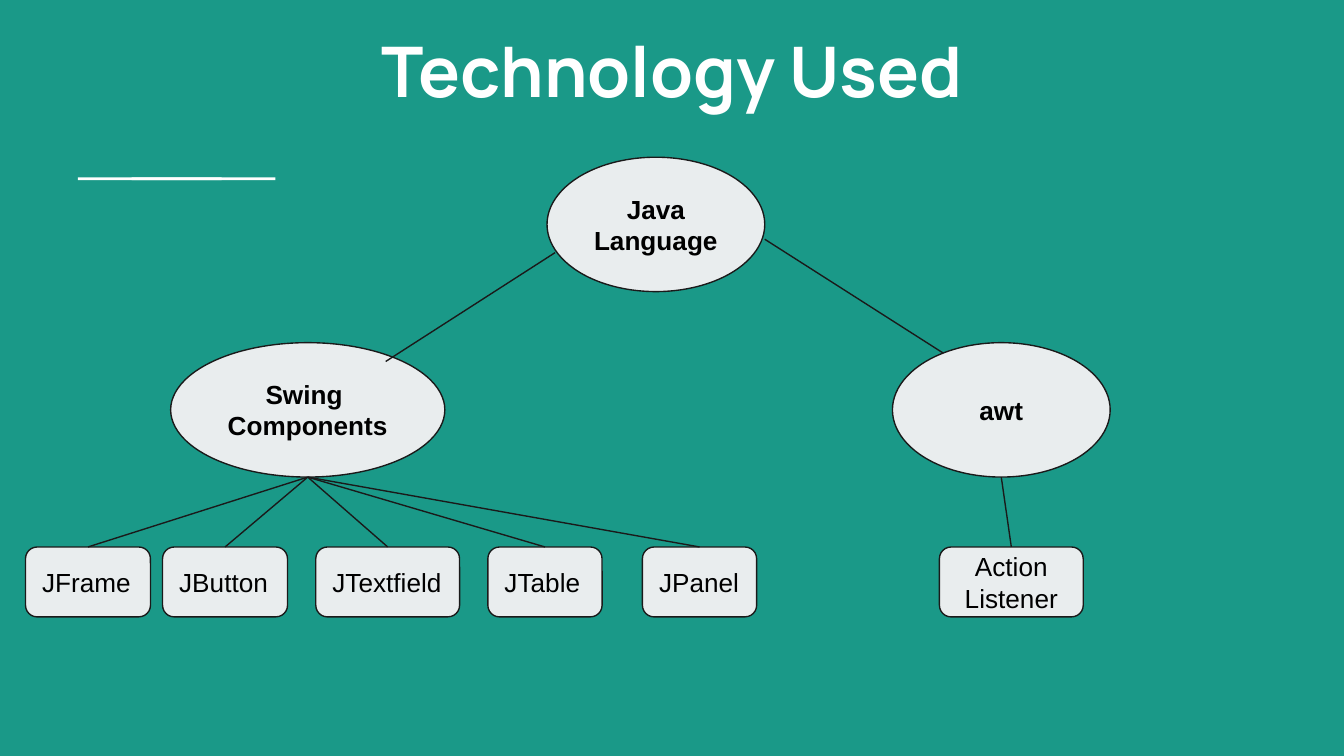
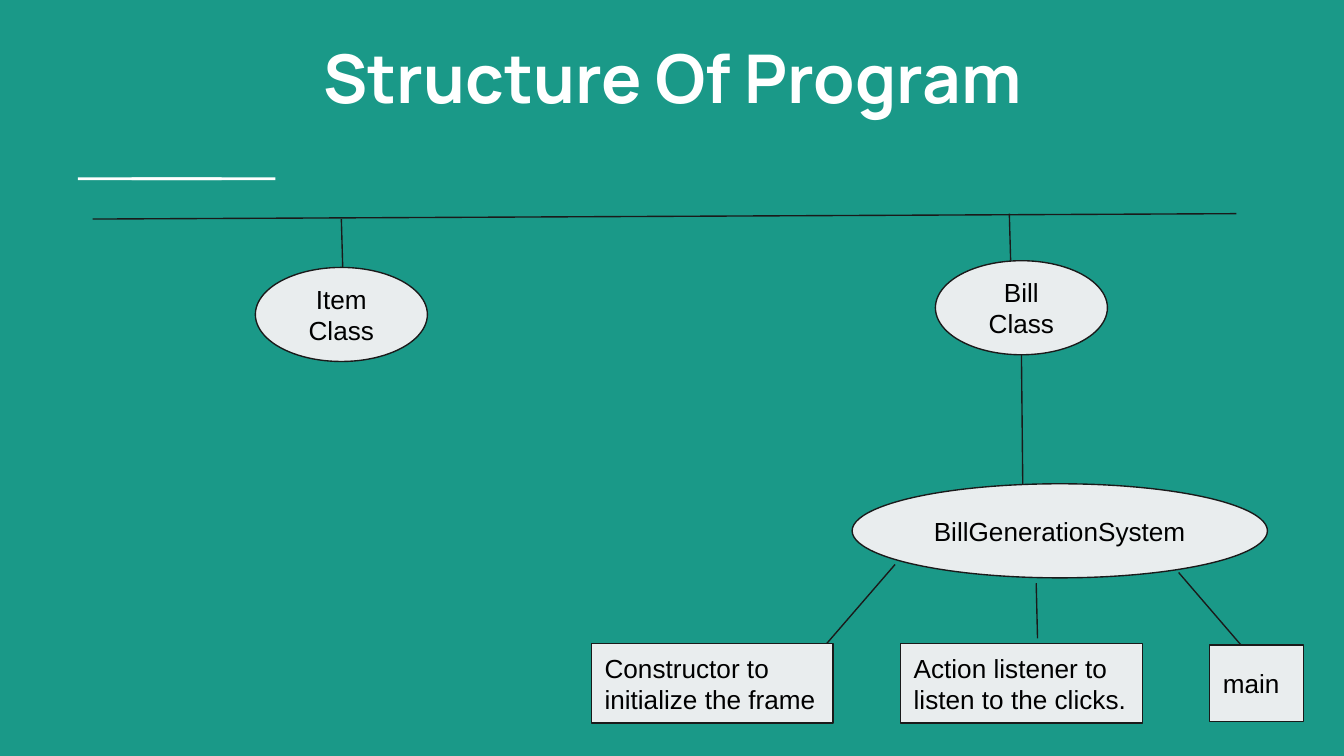
import pptx
import pptx.util
import pptx.dml.color
import pptx.enum.shapes
import pptx.enum.text
import pptx.oxml.ns
import lxml.etree

Inches = pptx.util.Inches
Pt = pptx.util.Pt
RGBColor = pptx.dml.color.RGBColor
Kind = pptx.enum.shapes.MSO_SHAPE
Align = pptx.enum.text.PP_ALIGN
Anchor = pptx.enum.text.MSO_ANCHOR

TEAL = RGBColor(0x1A, 0x99, 0x88)
PALE = RGBColor(0xE9, 0xED, 0xEE)
INK = RGBColor(0x1A, 0x1A, 0x1A)
BLACK = RGBColor(0, 0, 0)
WHITE = RGBColor(255, 255, 255)


def write(shape, text, font="Arial", size=14, color=BLACK, bold=False,
          align=Align.CENTER, anchor=Anchor.MIDDLE):
    """Fill a shape with text, one paragraph for each line."""
    frame = shape.text_frame
    frame.word_wrap = True
    frame.vertical_anchor = anchor
    frame.margin_left = frame.margin_right = Inches(0.1)
    frame.margin_top = frame.margin_bottom = Inches(0.1)
    for i, line in enumerate(text.split("\n")):
        para = frame.add_paragraph() if i else frame.paragraphs[0]
        para.alignment = align
        run = para.add_run()
        run.text = line
        run.font.name = font
        run.font.size = Pt(size)
        run.font.bold = bold
        run.font.color.rgb = color


class Deck:
    """Holds the shared style and the slide being drawn."""

    def __init__(self):
        self.prs = pptx.Presentation()
        self.prs.slide_width = Inches(10)
        self.prs.slide_height = Inches(10 * 9 / 16)
        self.slide = None

    def start(self, title, top, size):
        """Add a slide with its background, accent bar and title."""
        self.slide = self.prs.slides.add_slide(self.prs.slide_layouts[6])
        fill = self.slide.background.fill
        fill.solid()
        fill.fore_color.rgb = TEAL
        for left in (0.98, 0.58):
            self.block(Kind.RECTANGLE, left, 1.32, 1.07, 0.02, WHITE)
        box = self.slide.shapes.add_textbox(
            Inches(0.8), Inches(top), Inches(8.41), Inches(1))
        write(box, title, font="Manrope", size=size, color=WHITE,
              bold=True, anchor=Anchor.TOP)

    def block(self, kind, left, top, width, height, color):
        shape = self.slide.shapes.add_shape(
            kind, Inches(left), Inches(top), Inches(width), Inches(height))
        shape.shadow.inherit = False
        shape.fill.solid()
        shape.fill.fore_color.rgb = color
        shape.line.fill.background()
        return shape

    def node(self, kind, text, left, top, width, height, **style):
        """Add an outlined shape that holds a label."""
        shape = self.block(kind, left, top, width, height, PALE)
        shape.line.color.rgb = INK
        shape.line.width = Pt(0.75)
        write(shape, text, **style)

    def oval(self, text, left, top, width, height, **style):
        self.node(Kind.OVAL, text, left, top, width, height, **style)

    def link(self, x1, y1, x2, y2):
        line = self.slide.shapes.add_connector(
            pptx.enum.shapes.MSO_CONNECTOR.STRAIGHT,
            Inches(x1), Inches(y1), Inches(x2), Inches(y2))
        line.line.color.rgb = INK
        line.line.width = Pt(0.75)
        lxml.etree.SubElement(line._element.spPr,
                              pptx.oxml.ns.qn("a:effectLst"))


def tools(deck):
    deck.start("Technology Used", 0.11, 37.4)
    deck.oval("Swing \nComponents", 1.27, 2.55, 2.04, 1, bold=True)
    deck.oval("Java Language", 4.07, 1.17, 1.62, 1, bold=True)
    deck.link(4.13, 1.88, 2.87, 2.69)
    deck.link(7.32, 2.82, 5.69, 1.78)
    deck.oval("awt", 6.64, 2.55, 1.62, 1, bold=True)

    swing, awt = 2.29, 7.45
    leaves = [
        ("JFrame", 0.19, 0.93, swing, Align.LEFT),
        ("JButton", 1.21, 0.93, swing, Align.LEFT),
        ("JTextfield", 2.35, 1.07, swing, Align.LEFT),
        ("JTable", 3.63, 0.85, swing, Align.LEFT),
        ("JPanel", 4.78, 0.85, swing, Align.LEFT),
        ("Action Listener", 6.99, 1.07, awt, Align.CENTER),
    ]
    for text, left, width, root, align in leaves:
        deck.node(Kind.ROUNDED_RECTANGLE, text, left, 4.07, width, 0.52,
                  align=align)
        deck.link(root, 3.55, left + width / 2, 4.07)


def program(deck):
    deck.start("Structure Of Program", 0.17, 36)
    links = [
        (0.69, 1.63, 9.2, 1.59),
        (2.54, 1.63, 2.55, 1.99),
        (7.51, 1.59, 7.52, 1.94),
        (7.6, 2.64, 7.61, 3.6),
        (6.66, 4.2, 6.15, 4.79),
        (7.71, 4.34, 7.72, 4.75),
        (8.77, 4.26, 9.26, 4.83),
    ]
    for ends in links:
        deck.link(*ends)
    deck.oval("Item Class", 1.9, 1.99, 1.28, 0.7)
    deck.oval("Bill Class", 6.96, 1.94, 1.28, 0.7)
    deck.oval("BillGenerationSystem", 6.34, 3.6, 3.09, 0.7)

    parts = [
        ("Constructor to initialize the frame", 4.4, 4.79, 1.8, 0.59),
        ("Action listener to listen to the clicks.", 6.7, 4.79, 1.8, 0.59),
        ("main", 9, 4.8, 0.7, 0.57),
    ]
    for part in parts:
        deck.node(Kind.RECTANGLE, *part, align=Align.LEFT)


def main():
    deck = Deck()
    tools(deck)
    program(deck)
    deck.prs.save("out.pptx")


if __name__ == "__main__":
    main()
